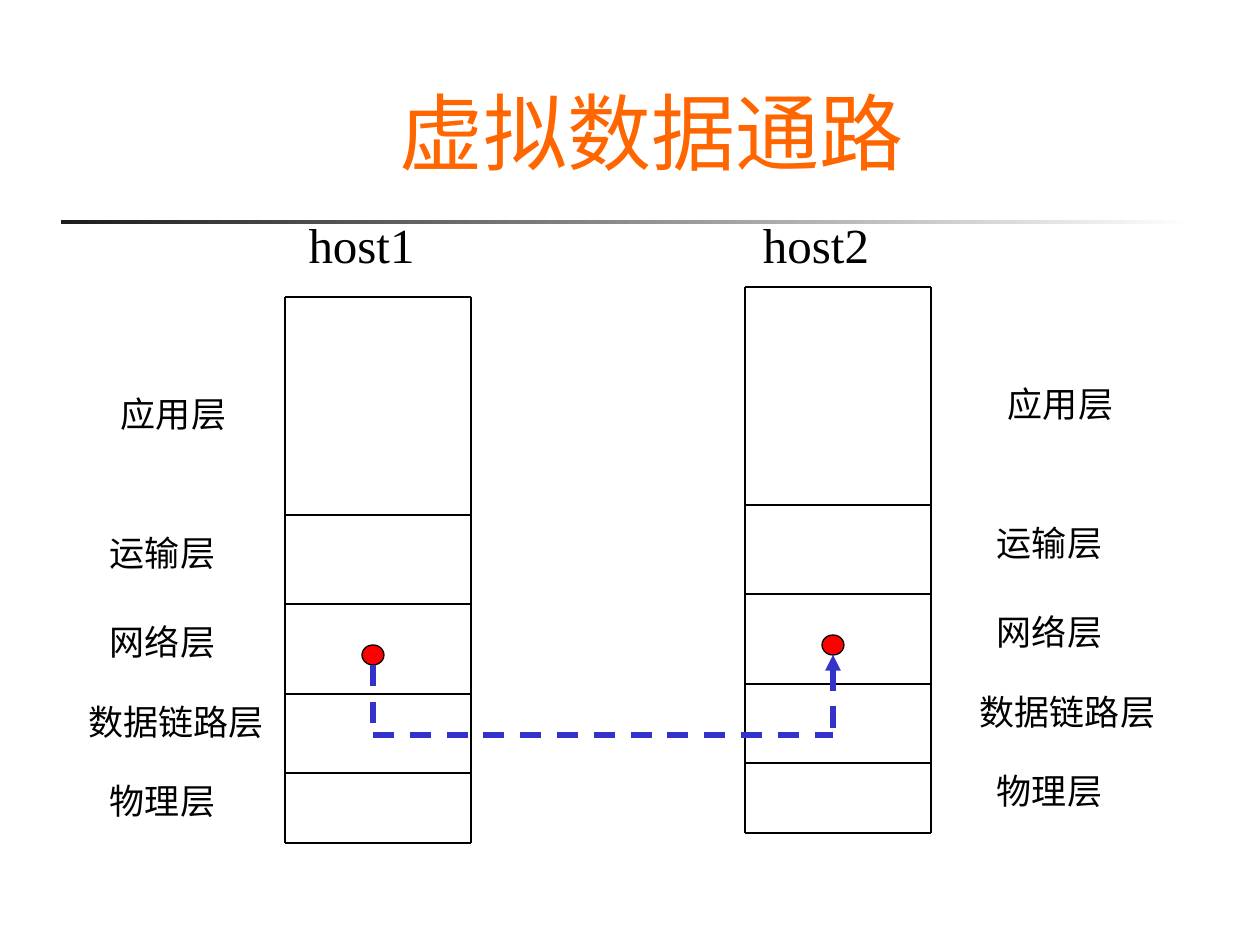
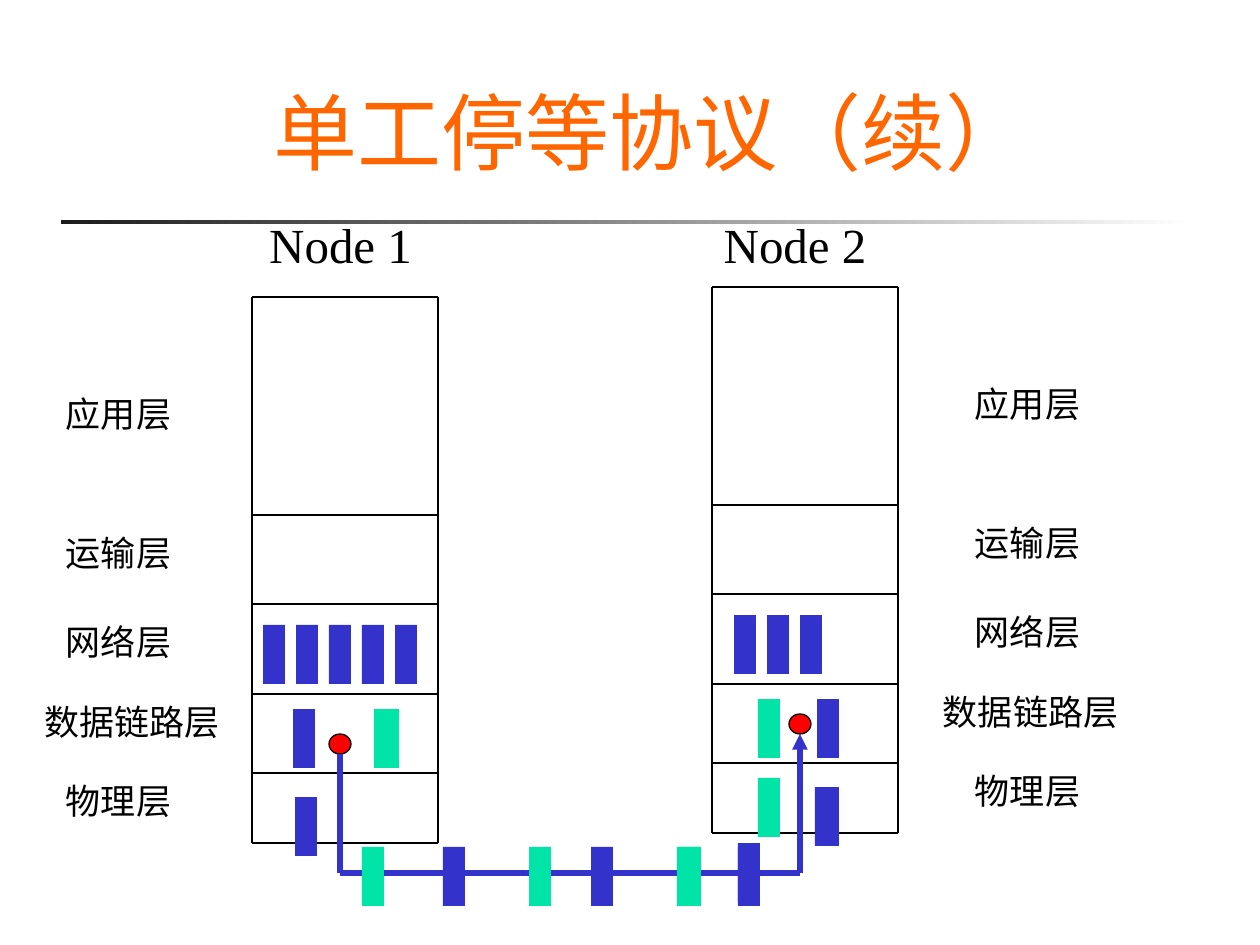
from lxml import etree
from pptx import Presentation
from pptx import util as u
from pptx.dml.color import RGBColor
from pptx.enum import dml, shapes, text
from pptx.oxml.ns import qn

PX_PER_INCH = 126
COLORS = {
    "title": "FF6600",
    "ink": "000000",
    "rule": "1C1C1C",
    "paper": "FFFFFF",
    "dot": "FF0000",
    "blue": "3333CC",
    "green": "00E4A8",
}
TITLE_FONT, BODY_FONT = "Cabin", "Times New Roman"

LAYERS = ["应用层", "运输层", "网络层", "数据链路层", "物理层"]
LINK_LAYER = 3
LABEL_OFFSETS = [89, 228, 317, 397, 476]
BORDER_OFFSETS = [0, 218, 307, 397, 476, 546]
STACK_WIDTH = 186
LEFT_TOP, RIGHT_TOP = 297, 287
DOT_WIDTH, DOT_HEIGHT = 22, 20
PACKET_WIDTH, PACKET_HEIGHT, PACKET_STEP = 22, 59, 33


def px(length):
    return u.Emu(round(length * 914400 / PX_PER_INCH))


def box(*lengths):
    return [px(length) for length in lengths]


def color(name):
    return RGBColor.from_string(COLORS[name])


def write(paragraph, words, font_name, size, color_name, align):
    paragraph.alignment = align
    run = paragraph.add_run()
    run.text = words
    run.font.name = font_name
    run.font.size = u.Pt(size)
    run.font.color.rgb = color(color_name)


def add_shape(slide, kind, left, top, width, height, fill):
    shape = slide.shapes.add_shape(kind, *box(left, top, width, height))
    shape.shadow.inherit = False
    shape.fill.solid()
    shape.fill.fore_color.rgb = color(fill)
    shape.line.fill.background()
    return shape


def add_line(slide, start, end, color_name="ink", width=1.5, dashed=False,
             arrow_at_start=False):
    line = slide.shapes.add_connector(
        shapes.MSO_CONNECTOR.STRAIGHT, *box(*start, *end))
    line.line.color.rgb = color(color_name)
    line.line.width = u.Pt(width)
    if dashed:
        line.line.dash_style = dml.MSO_LINE.DASH
    properties = line._element.spPr
    if arrow_at_start:
        outline = properties.find(qn("a:ln"))
        etree.SubElement(outline, qn("a:headEnd"), type="triangle")
    etree.SubElement(properties, qn("a:effectLst"))


def add_text(slide, words, left, top, width, height, size,
             align=text.PP_ALIGN.LEFT, inset=0):
    shape = slide.shapes.add_textbox(*box(left, top, width, height))
    frame = shape.text_frame
    frame.word_wrap = True
    frame.auto_size = text.MSO_AUTO_SIZE.SHAPE_TO_FIT_TEXT
    frame.margin_left, frame.margin_right = px(inset), 0
    frame.margin_top = frame.margin_bottom = u.Inches(0.05)
    write(frame.paragraphs[0], words, BODY_FONT, size, "ink", align)


def add_titled_slide(presentation, title):
    """Add a slide with the shared title style and the fading rule below it."""
    slide = presentation.slides.add_slide(presentation.slide_layouts[5])
    rule = add_shape(slide, shapes.MSO_SHAPE.RECTANGLE, 61, 220, 1133, 4, "rule")
    rule.fill.gradient()
    rule.fill.gradient_angle = 0
    for stop, name, position in zip(
            rule.fill.gradient_stops, ("rule", "paper"), (0, 1)):
        stop.color.rgb = color(name)
        stop.position = position

    holder = slide.shapes.title
    holder.left, holder.top, holder.width, holder.height = box(116, 63, 1071, 125)
    frame = holder.text_frame
    frame.auto_size = text.MSO_AUTO_SIZE.NONE
    frame.vertical_anchor = text.MSO_ANCHOR.BOTTOM
    write(frame.paragraphs[0], title, TITLE_FONT, 48, "title",
          text.PP_ALIGN.CENTER)
    return slide


def add_stack(slide, left, top):
    """Draw the box of five layers for one machine."""
    right, bottom = left + STACK_WIDTH, top + BORDER_OFFSETS[-1]
    for x in (left, right):
        add_line(slide, (x, top), (x, bottom))
    for offset in BORDER_OFFSETS:
        add_line(slide, (right, top + offset), (left, top + offset))


def add_labels(slide, lefts, top, link_width, link_align=text.PP_ALIGN.LEFT):
    for index, (name, left, offset) in enumerate(
            zip(LAYERS, lefts, LABEL_OFFSETS)):
        is_link = index == LINK_LAYER
        add_text(slide, name, left, top + offset,
                 link_width if is_link else 175, 55, 20,
                 link_align if is_link else text.PP_ALIGN.LEFT)


def add_machines(slide, left, right, names, inset=0):
    """Draw both stacks, each with its machine's name above."""
    add_stack(slide, left, LEFT_TOP)
    add_stack(slide, right, RIGHT_TOP)
    for name, x, width in zip(names, (left - 22, right - 33), (197, 208)):
        add_text(slide, name, x, 208, width, 72, 28,
                 text.PP_ALIGN.CENTER, inset)


def add_route(slide, source, target, floor, dashed=False):
    """Link two dots by a line that runs down, across and up to the target."""
    for x, y in (source, target):
        dot = add_shape(slide, shapes.MSO_SHAPE.OVAL, x - DOT_WIDTH // 2, y,
                        DOT_WIDTH, DOT_HEIGHT, "dot")
        dot.line.color.rgb = color("ink")
        dot.line.width = u.Pt(0.75)
    (source_x, source_y), (target_x, target_y) = source, target
    style = {"color_name": "blue", "width": 3, "dashed": dashed}
    add_line(slide, (source_x, source_y + DOT_HEIGHT), (source_x, floor), **style)
    add_line(slide, (source_x, floor), (target_x, floor), **style)
    add_line(slide, (target_x, target_y + DOT_HEIGHT), (target_x, floor),
             arrow_at_start=True, **style)


def add_packets(slide, fill, top, lefts):
    for left in lefts:
        add_shape(slide, shapes.MSO_SHAPE.RECTANGLE, left, top,
                  PACKET_WIDTH, PACKET_HEIGHT, fill)


def build_virtual_path(presentation):
    slide = add_titled_slide(presentation, "虚拟数据通路")
    add_labels(slide, [121, 110, 110, 88, 110], LEFT_TOP, 273)
    add_labels(slide, [1008, 997, 997, 931, 997], RIGHT_TOP, 273,
               text.PP_ALIGN.CENTER)
    add_machines(slide, 285, 745, ("host1", "host2"))
    add_route(slide, (373, 645), (833, 635), 735, dashed=True)


def build_stop_and_wait(presentation):
    slide = add_titled_slide(presentation, "单工停等协议（续）")
    add_labels(slide, [66, 66, 66, 44, 66], LEFT_TOP, 198)
    add_labels(slide, [975, 975, 975, 943, 975], RIGHT_TOP, 275)
    add_machines(slide, 252, 712, ("Node 1", "Node 2"), inset=24)
    add_route(slide, (340, 734), (800, 714), 873)

    packet_rows = [
        ("blue", 625, [263 + PACKET_STEP * i for i in range(5)]),
        ("blue", 615, [734 + PACKET_STEP * i for i in range(3)]),
        ("blue", 709, [293]),
        ("green", 709, [377, 374]),
        ("blue", 797, [295]),
        ("blue", 699, [817]),
        ("green", 699, [758]),
        ("blue", 787, [815, 817]),
        ("green", 778, [758]),
        ("blue", 843, [738]),
        ("blue", 847, [443, 591, 738]),
        ("green", 847, [362, 529, 679, 677]),
    ]
    for fill, top, lefts in packet_rows:
        add_packets(slide, fill, top, lefts)


def main():
    presentation = Presentation()
    presentation.slide_width, presentation.slide_height = box(1260, 945)
    build_virtual_path(presentation)
    build_stop_and_wait(presentation)
    presentation.save("out.pptx")


if __name__ == "__main__":
    main()
